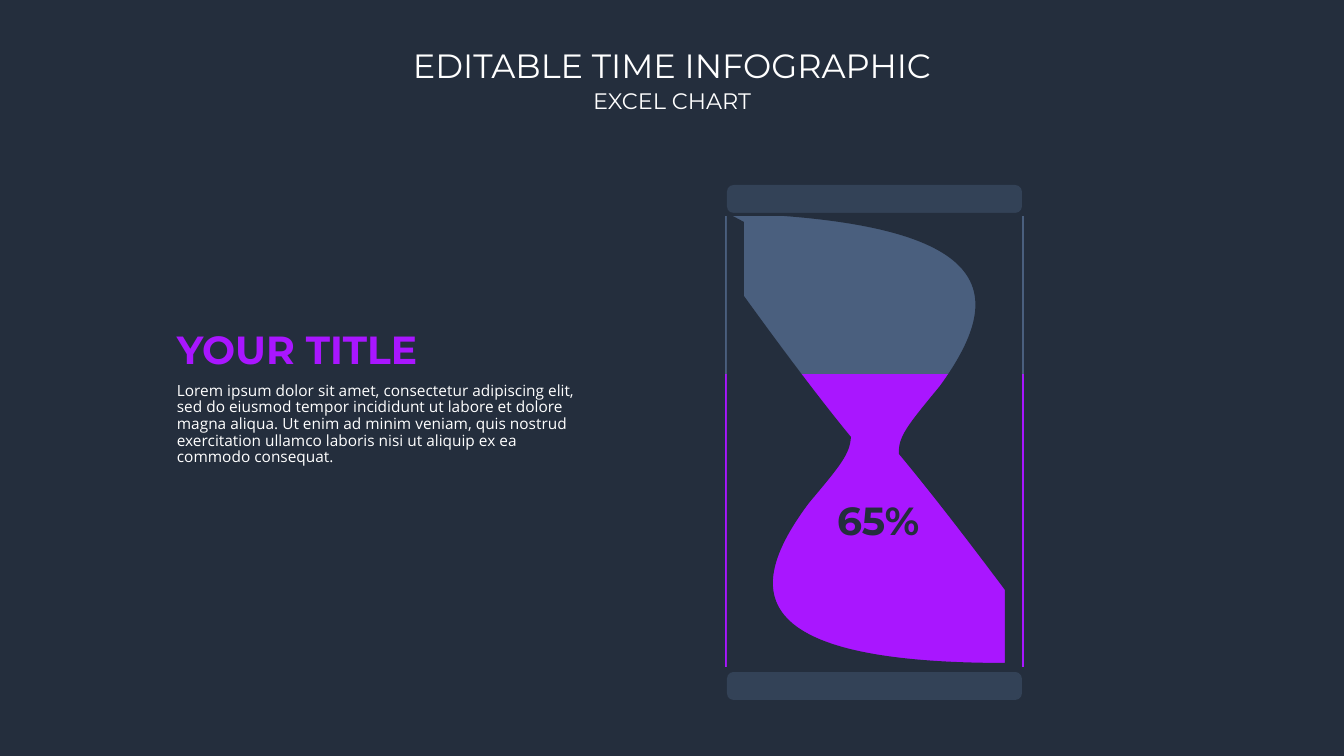
from pptx import Presentation
from pptx import util as u
from pptx.chart import data as cd
from pptx.dml.color import RGBColor
from pptx.enum import chart as ch, shapes, text
from pptx.oxml import parse_xml
from pptx.oxml.ns import nsdecls, qn

PX = u.Inches(7.5) / 756
COLORS = {"back": "242E3D", "cap": "334257", "sand": "A916FF",
          "glass": "4A5F7E", "white": "FFFFFF"}


def px(n):
    return u.Emu(round(n * PX))


def paint(item, name):
    item.fill.solid()
    item.fill.fore_color.rgb = RGBColor.from_string(COLORS[name])
    item.line.fill.background()


deck = Presentation()
deck.slide_width, deck.slide_height = px(1344), px(756)
slide = deck.slides.add_slide(deck.slide_layouts[6])
slide.background.fill.solid()
slide.background.fill.fore_color.rgb = RGBColor.from_string(COLORS["back"])
parts = slide.shapes.add_group_shape().shapes

# Stacked column that fills the hourglass
data = cd.CategoryChartData(number_format="0%")
data.categories = ["1"]
data.add_series("Series 1", [0.65])
data.add_series("Series 2", [0.35])
chart = parts.add_chart(ch.XL_CHART_TYPE.COLUMN_STACKED_100,
                        px(691), px(207), px(367), px(470), data).chart
chart.has_legend = chart.has_title = False
chart.font.name, chart.font.size = "Montserrat", u.Pt(10)
chart.font.color.rgb = RGBColor.from_string(COLORS["white"])
for axis in (chart.category_axis, chart.value_axis):
    axis.has_major_gridlines = False
    axis.visible = False
chart.value_axis.minimum_scale, chart.value_axis.maximum_scale = 0, 1
plot = chart.plots[0]
plot.gap_width, plot.overlap, plot.vary_by_categories = 18, 100, False
for series, name in zip(plot.series, ("sand", "glass")):
    paint(series.format, name)

# Percentage label on the sand, a little right of centre
sand = plot.series[0]
labels, label = sand.data_labels, sand.points[0].data_label
labels.show_value = True
labels.number_format, labels.number_format_is_linked = "0%", False
for item in (labels, label):
    item.position = ch.XL_LABEL_POSITION.CENTER
    item.font.name, item.font.size, item.font.bold = "Montserrat", u.Pt(28), True
    item.font.color.rgb = RGBColor.from_string(COLORS["back"])
labels._element.find(qn("c:dLbl")).insert(1, parse_xml(
    f'<c:layout {nsdecls("c")}><c:manualLayout><c:x val="0.01"/>'
    '<c:y val="0"/></c:manualLayout></c:layout>'))

# Fixed plot area inside the chart
area = chart._chartSpace.chart.plotArea
for old in area.findall(qn("c:layout")):
    area.remove(old)
area.insert(0, parse_xml(
    f'<c:layout {nsdecls("c")}><c:manualLayout><c:layoutTarget val="inner"/>'
    '<c:xMode val="edge"/><c:yMode val="edge"/><c:x val="0.02"/><c:y val="0.02"/>'
    '<c:w val="0.96"/><c:h val="0.96"/></c:manualLayout></c:layout>'))

# Caps above and below
for top in (185, 672):
    cap = parts.add_shape(shapes.MSO_SHAPE.ROUNDED_RECTANGLE,
                          px(727), px(top), px(295), px(28))
    cap.adjustments[0] = 0.24
    cap.shadow.inherit = False
    paint(cap, "cap")

# Mask with an hourglass opening: left edge down, mirrored right edge up
left = [(744, 222), (744, 296), (809, 386), (842, 426), (851, 437),
        (850, 454), (841, 465), (809, 503), (744, 590), (744, 663)]
right = [(1749 - x, y) for x, y in reversed(left)]
frame = [(727, 213), (1022, 213), (1022, 672), (727, 672)]
rings = [[(px(x), px(y)) for x, y in ring] for ring in (frame, left + right)]
pen = parts.build_freeform(*rings[0][0])
pen.add_line_segments(rings[0][1:])
pen.move_to(*rings[1][0])
pen.add_line_segments(rings[1][1:])
mask = pen.convert_to_shape()
mask.shadow.inherit = False
paint(mask, "back")

# Join each three points of the two edges into one curve
lines = list(mask._element.iter(qn("a:lnTo")))[len(frame):]
edge = len(left) - 1
for side in (lines[:edge], lines[edge + 1:edge * 2 + 1]):
    for i in range(0, edge, 3):
        curve = parse_xml(f'<a:cubicBezTo {nsdecls("a")}/>')
        side[i].addprevious(curve)
        for line in side[i:i + 3]:
            curve.append(line[0])
            line.getparent().remove(line)

# Headings and body text
mid, start = text.PP_ALIGN.CENTER, text.PP_ALIGN.LEFT
lorem = ("Lorem ipsum dolor sit amet, consectetur adipiscing elit, sed do eiusmod "
         "tempor incididunt ut labore et dolore magna aliqua. Ut enim ad minim "
         "veniam, quis nostrud exercitation ullamco laboris nisi ut aliquip ex ea "
         "commodo consequat.")
notes = [
    ((395, 40, 554, 50), "EDITABLE TIME INFOGRAPHIC", 24, "Montserrat", "white", mid),
    ((580, 82, 184, 37), "EXCEL CHART", 16, "Montserrat", "white", mid),
    ((167, 378, 427, 152), lorem, 11, "Open Sans", "white", start),
    ((167, 320, 264, 57), "YOUR TITLE", 28, "Montserrat", "sand", start),
]
for place, words, size, face, color, align in notes:
    box = slide.shapes.add_textbox(*map(px, place)).text_frame
    box.word_wrap = words == lorem
    para = box.paragraphs[0]
    para.alignment = align
    if words == lorem:
        para.line_spacing, para.space_before = 0.9, u.Pt(10)
    else:
        box.auto_size = text.MSO_AUTO_SIZE.SHAPE_TO_FIT_TEXT
    run = para.add_run()
    run.text = words
    run.font.name, run.font.size = face, u.Pt(size)
    run.font.bold = color == "sand"
    run.font.color.rgb = RGBColor.from_string(COLORS[color])

deck.save("out.pptx")
